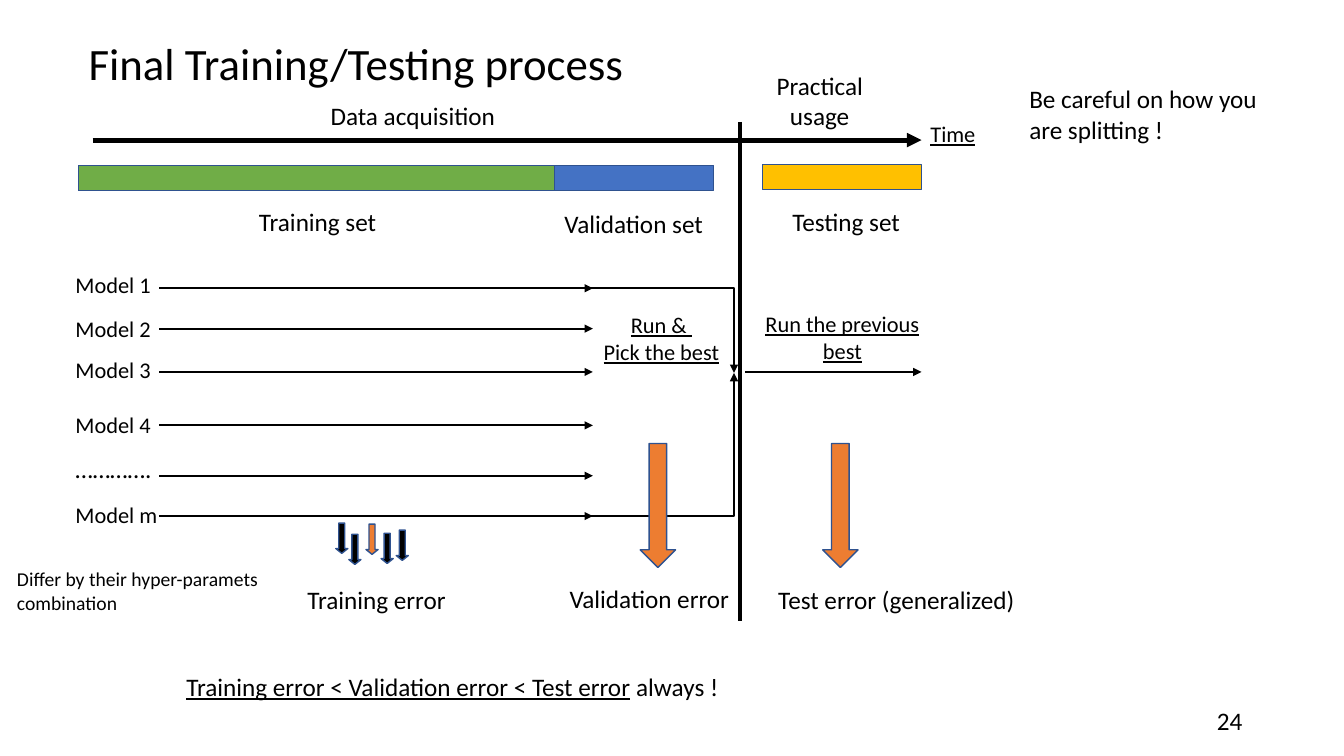
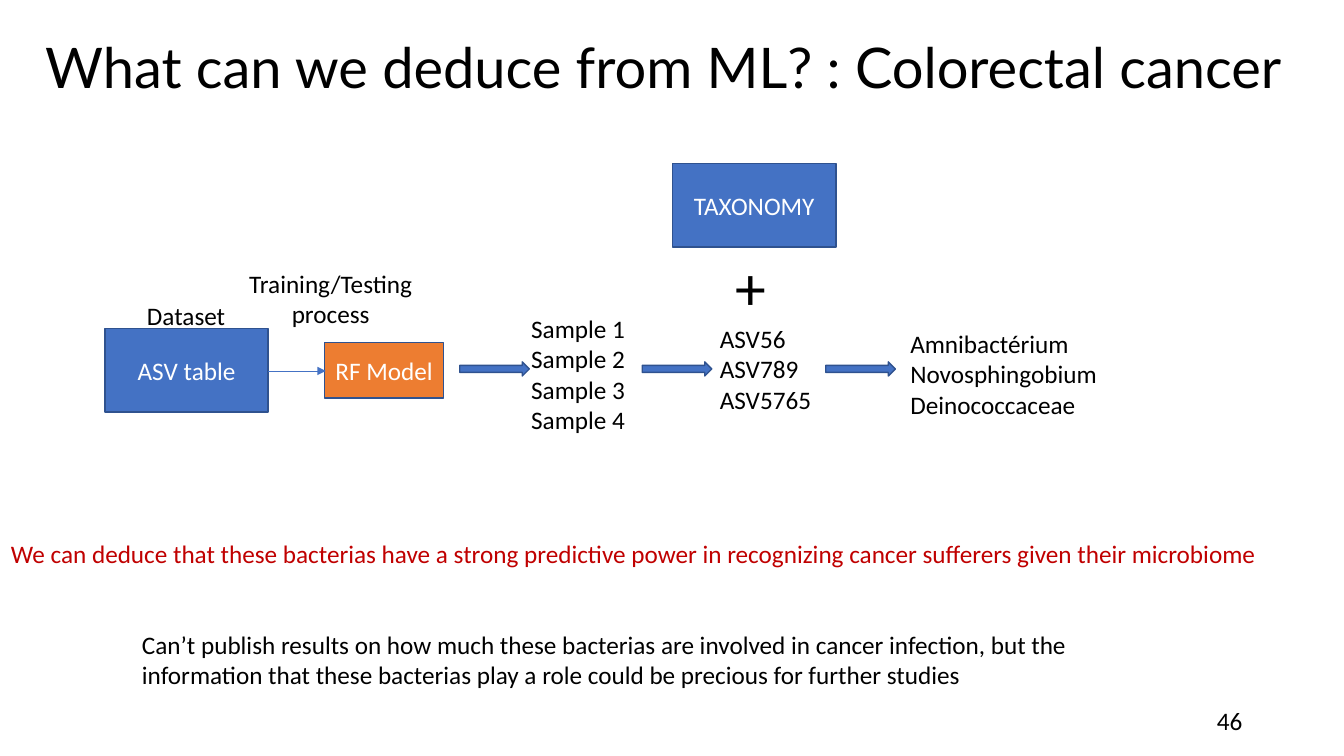
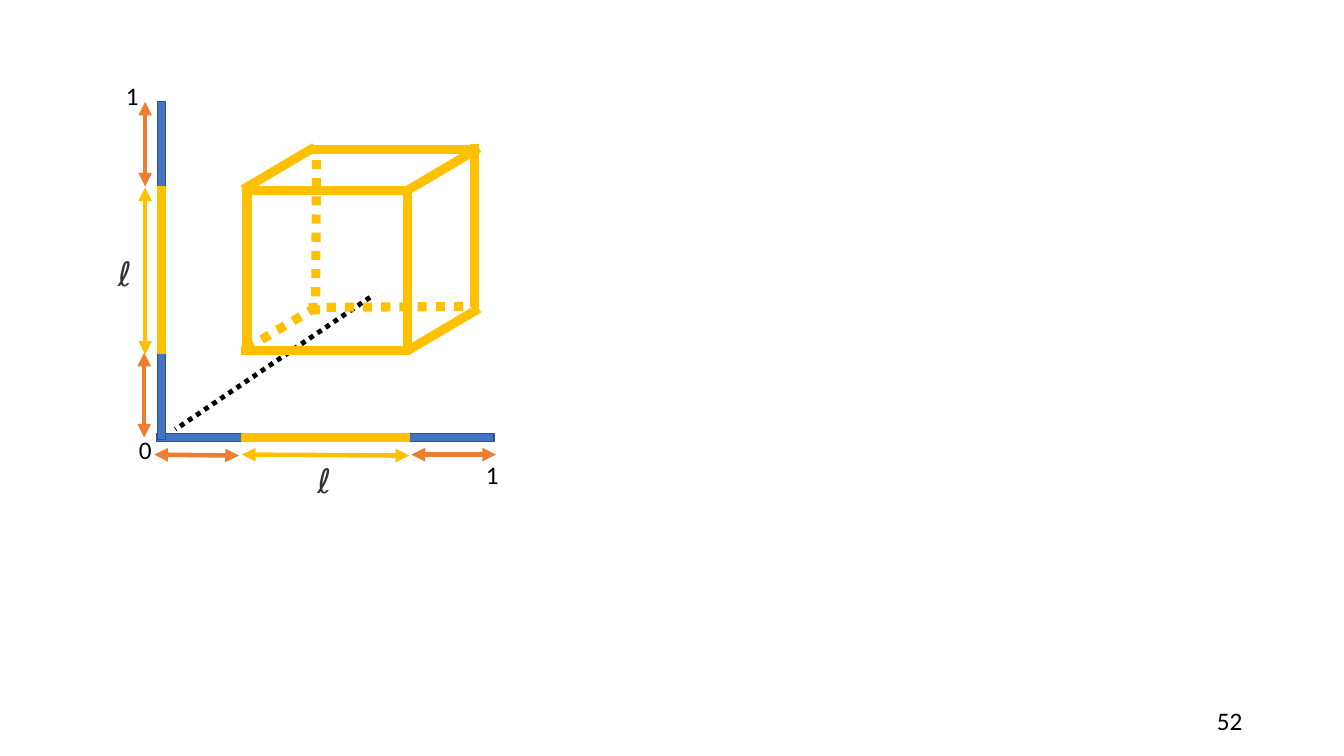
from lxml import etree
from pptx import Presentation
from pptx.dml.color import RGBColor
from pptx.enum.dml import MSO_LINE
from pptx.enum.shapes import MSO_CONNECTOR as LINK, MSO_SHAPE as SHAPE
from pptx.enum.text import MSO_ANCHOR as ANCHOR, PP_ALIGN as ALIGN
from pptx.oxml.ns import qn
from pptx.util import Inches, Pt

COLORS = {
    "black": "000000", "white": "FFFFFF", "blue": "4472C4", "navy": "2F528F",
    "green": "70AD47", "gold": "FFC000", "orange": "ED7D31", "red": "C00000",
    "gray": "333333",
}
FONT = "Calibri"

# Slide 1 content: boxes are left, top, width, height in inches
PROCESS_TITLE = "Final Training/Testing process"
DATA_BARS = [
    ((0.78, 1.64, 6.3, 0.25), "blue"),
    ((0.78, 1.64, 4.72, 0.25), "green"),
    ((7.56, 1.63, 1.58, 0.25), "gold"),
]
PROCESS_LABELS = [
    ("Data acquisition", (3.18, 0.95, 2.71, 0.4), {}),
    ("Practical usage", (7.56, 0.65, 1.14, 0.71), {"align": ALIGN.CENTER}),
    ("Be careful on how you are splitting !", (10.11, 0.78, 2.82, 0.71), {}),
    ("Time", (9.13, 1.14, 0.67, 0.37), {"size": 16, "underline": True}),
    ("Training set", (2.47, 2, 2.36, 0.4), {}),
    ("Validation set", (5.5, 2.02, 1.7, 0.4), {}),
    ("Testing set", (7.76, 2, 1.7, 0.4), {}),
    ("Run & \nPick the best", (5.88, 3.04, 1.36, 0.64),
     {"size": 16, "underline": True, "align": ALIGN.CENTER}),
    ("Run the previous best", (7.49, 3.03, 1.73, 0.64),
     {"size": 16, "underline": True, "align": ALIGN.CENTER}),
    ("Differ by their hyper-paramets combination", (0.07, 5.58, 2.83, 0.57), {"size": 14}),
    ("Training error", (2.95, 5.75, 1.6, 0.4), {}),
    ("Validation error", (5.55, 5.74, 1.88, 0.4), {}),
    ("Test error (generalized)", (7.62, 5.75, 2.62, 0.4), {}),
    ("Training error < Validation error < Test error", (1.75, 6.61, 5.56, 0.4),
     {"underline": True, "ending": " always !"}),
]
MODELS = [  # label, label top, line height, text size
    ("Model 1", 2.64, 2.86, 16),
    ("Model 2", 3.08, 3.26, 16),
    ("Model 3", 3.48, 3.69, 16),
    ("Model 4", 4.03, 4.22, 16),
    ("………….", 4.45, 4.72, 18),
    ("Model m", 4.92, 5.12, 16),
]
BEST_MODEL_AT = (7.28, 3.7)
ERROR_ARROWS = [6.35, 8.16]
SMALL_ARROWS = [
    (3.93, 5.26, "black"), (3.63, 5.2, "orange"), (3.78, 5.29, "black"),
    (3.46, 5.3, "black"), (3.33, 5.19, "black"),
]

# Slide 2 content
CANCER_TITLE = "What can we deduce from ML? : Colorectal cancer"
CANCER_BLOCKS = [
    ("ASV table", (1.04, 3.26, 1.62, 0.83), "blue"),
    ("TAXONOMY", (6.67, 1.62, 1.62, 0.83), "blue"),
    ("RF Model", (3.22, 3.4, 1.18, 0.55), "orange"),
]
CANCER_LABELS = [
    ("Dataset", (1.36, 2.93, 1.33, 0.4), {}),
    ("Training/Testing process", (2.3, 2.61, 1.96, 0.71), {"align": ALIGN.CENTER}),
    ("Sample 1\nSample 2\nSample 3\nSample 4", (5.17, 3.06, 2.36, 1.31), {}),
    ("+", (7.2, 2.42, 0.82, 0.84), {"size": 44}),
    ("ASV56\nASV789\nASV5765", (7.04, 3.16, 1.32, 1.01), {}),
    ("Amnibactérium\nNovosphingobium\nDeinococcaceae", (8.93, 3.21, 2.18, 1.01), {}),
    ("We can deduce that these bacterias have a strong predictive power in "
     "recognizing cancer sufferers given their microbiome",
     (0.01, 5.29, 13.32, 0.4), {"color": "red"}),
    ("Can’t publish results on how much these bacterias are involved in cancer "
     "infection, but the information that these bacterias play a role could be "
     "precious for further studies", (1.31, 6.19, 10.44, 0.71), {}),
]
FLOW_ARROWS = [4.56, 6.37, 8.19]

# Slide 3 content
BAR, SIDE, AXIS = 0.08, 1.66, 3.35
AXIS_BARS = [(1.55, 4.3, AXIS, BAR), (1.56, 1.01, BAR, AXIS)]
GOLD_BARS = [
    (2.4, 4.3, SIDE, BAR), (1.56, 1.85, BAR, SIDE),
    (2.41, 1.85, SIDE, BAR), (2.4, 3.44, SIDE, BAR),
    (2.41, 1.85, BAR, SIDE), (4, 1.85, BAR, SIDE),
]
DEPTH = (0.71, -0.42)
DEPTH_EDGES = [  # front corner, hidden
    ((4.04, 1.89), False), ((2.44, 3.46), True),
    ((4.04, 3.48), False), ((2.41, 1.88), False),
]
BACK_EDGES = [  # start, end, hidden
    ((3.06, 3.05), (4.72, 3.04), True),
    ((3.08, 1.48), (4.75, 1.48), False),
    ((3.13, 3.12), (3.14, 1.46), True),
    ((4.71, 1.43), (4.71, 3.05), False),
]
MEASURES = [
    ((1.53, 4.51), (2.37, 4.52), "orange"),
    ((2.4, 4.51), (4.06, 4.52), "gold"),
    ((4.08, 4.51), (4.92, 4.51), "orange"),
    ((1.43, 3.5), (1.43, 4.34), "orange"),
    ((1.44, 3.52), (1.44, 1.86), "gold"),
    ((1.44, 1.01), (1.44, 1.85), "orange"),
]
LENGTH_STYLE = {"size": 24, "font": "DejaVu Sans", "color": "gray"}
CUBE_LABELS = [
    ("0", (1.28, 4.26, 0.49, 0.4), {}),
    ("1", (4.72, 4.51, 0.49, 0.4), {}),
    ("1", (1.15, 0.75, 0.49, 0.4), {}),
    ("ℓ", (3.05, 4.51, 0.37, 0.5), LENGTH_STYLE),
    ("ℓ", (1.07, 2.46, 0.37, 0.5), LENGTH_STYLE),
]


def rgb(name):
    return RGBColor.from_string(COLORS[name])


def write_text(frame, text, size=18, font=FONT, color="black", align=ALIGN.LEFT,
               anchor=ANCHOR.TOP, underline=False, ending=""):
    """Fill a frame, one paragraph a line; the ending is never underlined."""
    frame.word_wrap = True
    frame.vertical_anchor = anchor
    for index, line in enumerate(text.split("\n")):
        para = frame.paragraphs[0] if index == 0 else frame.add_paragraph()
        para.alignment = align
        for words, underlined in ((line, underline), (ending, False)):
            if words:
                span = para.add_run()
                span.text = words
                span.font.size = Pt(size)
                span.font.name = font
                span.font.color.rgb = rgb(color)
                span.font.underline = underlined


def put_text(page, text, place, **style):
    box = page.shapes.add_textbox(*map(Inches, place))
    write_text(box.text_frame, text, **style)


def put_labels(page, labels):
    for text, place, style in labels:
        put_text(page, text, place, **style)


def put_shape(page, place, fill, kind=SHAPE.RECTANGLE, edge="navy"):
    shape = page.shapes.add_shape(kind, *map(Inches, place))
    shape.shadow.inherit = False
    shape.fill.solid()
    shape.fill.fore_color.rgb = rgb(fill)
    shape.line.color.rgb = rgb(edge)
    shape.line.width = Pt(1)
    return shape


def put_line(page, start, end, color="black", width=1.5, head=False, tail=False,
             dotted=False, bent=False):
    """Draw a line; head and tail put arrowheads at its start and end."""
    link = page.shapes.add_connector(LINK.ELBOW if bent else LINK.STRAIGHT,
                                     *map(Inches, start + end))
    link.line.color.rgb = rgb(color)
    link.line.width = Pt(width)
    if dotted:
        link.line.dash_style = MSO_LINE.ROUND_DOT
    props = link._element.spPr
    if bent:
        props.find(qn("a:prstGeom")).set("prst", "bentConnector2")
    for tag, wanted in (("a:headEnd", head), ("a:tailEnd", tail)):
        if wanted:
            etree.SubElement(link.line._get_or_add_ln(), qn(tag), type="triangle")
    etree.SubElement(props, qn("a:effectLst"))


def new_page(deck, number):
    page = deck.slides.add_slide(deck.slide_layouts[6])
    put_text(page, str(number), (9.42, 6.95, 3, 0.4),
             align=ALIGN.RIGHT, anchor=ANCHOR.MIDDLE)
    return page


def build_process(deck):
    page = new_page(deck, 24)
    put_text(page, PROCESS_TITLE, (0.78, 0.31, 6.99, 0.64), size=32)
    for place, fill in DATA_BARS:
        put_shape(page, place, fill)

    # Time axis and the split between acquisition and usage
    put_line(page, (0.92, 1.39), (9.14, 1.39), width=3.5, tail=True)
    put_line(page, (7.34, 1.21), (7.34, 6.16), width=3)

    # Models: the first and last lines bend towards the best one
    for index, (label, top, y, size) in enumerate(MODELS):
        put_text(page, label, (0.65, top, 1.08, 0.37), size=size)
        if index in (0, len(MODELS) - 1):
            put_line(page, (1.58, y), BEST_MODEL_AT, tail=True, bent=True)
        else:
            put_line(page, (1.58, y), (5.85, y))
        put_line(page, (4.42, y), (5.88, y), tail=True)
    put_line(page, (7.39, 3.69), (9.14, 3.69), tail=True)

    # Arrows down to the errors
    for left in ERROR_ARROWS:
        put_shape(page, (left, 4.4, 0.35, 1.23), "orange", SHAPE.DOWN_ARROW)
    for left, top, fill in SMALL_ARROWS:
        arrow = put_shape(page, (left, top, 0.12, 0.3), fill, SHAPE.DOWN_ARROW)
        arrow.adjustments[1] = 0.4
    put_labels(page, PROCESS_LABELS)


def build_cancer(deck):
    page = new_page(deck, 46)
    put_text(page, CANCER_TITLE, (0.35, 0.27, 12.98, 0.77), size=40, font="Lato")
    for text, place, fill in CANCER_BLOCKS:
        block = put_shape(page, place, fill)
        write_text(block.text_frame, text, color="white",
                   align=ALIGN.CENTER, anchor=ANCHOR.MIDDLE)
    put_line(page, (2.66, 3.68), (3.23, 3.68), color="blue", width=0.5, tail=True)
    for left in FLOW_ARROWS:
        put_shape(page, (left, 3.59, 0.69, 0.14), "blue", SHAPE.RIGHT_ARROW)
    put_labels(page, CANCER_LABELS)


def build_cube(deck):
    page = new_page(deck, 52)
    put_line(page, (3.67, 2.95), (1.74, 4.26), width=3.5, dotted=True)

    # Axes and the front face
    for place in AXIS_BARS:
        put_shape(page, place, "blue")
    for place in GOLD_BARS:
        put_shape(page, place, "gold", edge="gold")

    # Edges going back, then the back face
    receding = [((x, y), (x + DEPTH[0], y + DEPTH[1]), hidden)
                for (x, y), hidden in DEPTH_EDGES]
    for start, end, hidden in receding + BACK_EDGES:
        put_line(page, start, end, color="gold", width=6.5, dotted=hidden)

    # Measures along the axes
    for start, end, color in MEASURES:
        put_line(page, start, end, color=color, width=3.25, head=True, tail=True)
    put_labels(page, CUBE_LABELS)


def main():
    deck = Presentation()
    deck.slide_width, deck.slide_height = Inches(13.33), Inches(7.5)
    for build in (build_process, build_cancer, build_cube):
        build(deck)
    deck.save("out.pptx")


if __name__ == "__main__":
    main()
